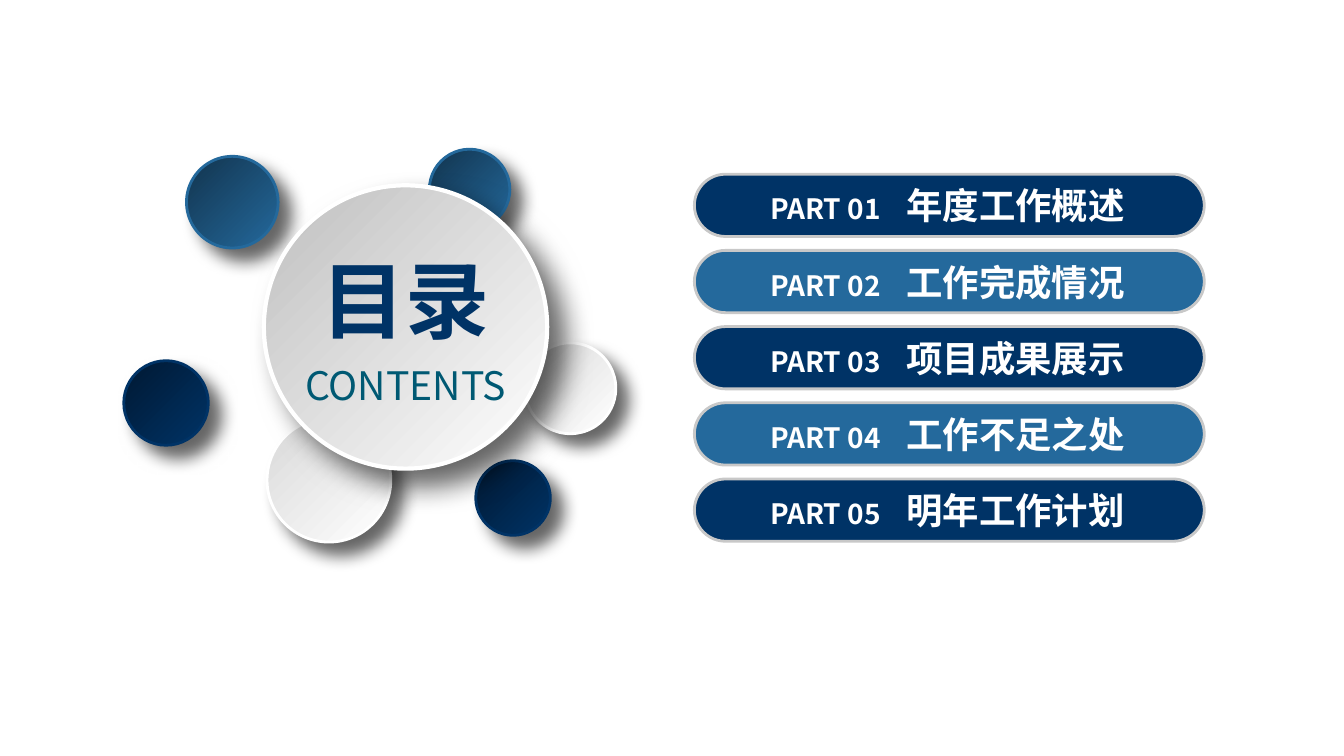
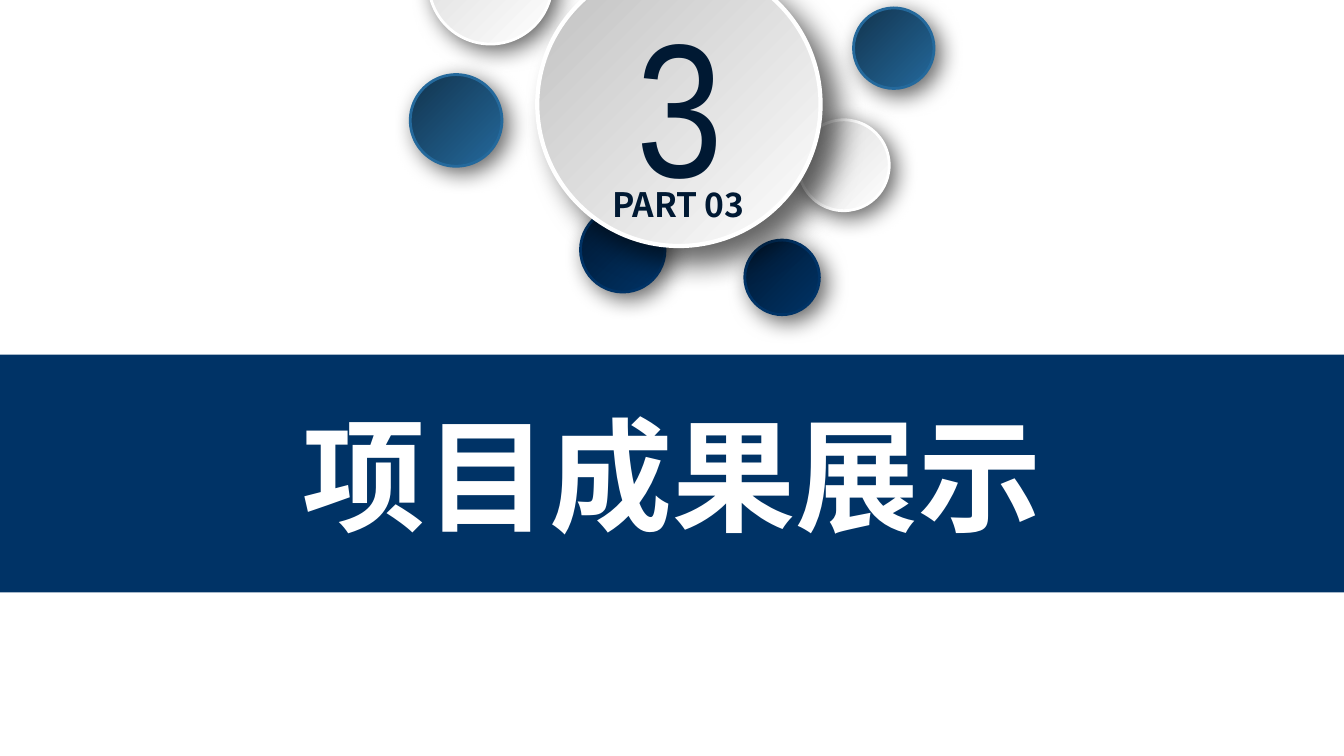
from lxml import etree
from pptx import Presentation
from pptx.dml.color import RGBColor
from pptx.enum.shapes import MSO_SHAPE
from pptx.enum.text import MSO_ANCHOR, PP_ALIGN
from pptx.oxml.ns import qn
from pptx.util import Cm, Pt

OVAL = MSO_SHAPE.OVAL
RECTANGLE = MSO_SHAPE.RECTANGLE
PILL = MSO_SHAPE.ROUNDED_RECTANGLE
MIDDLE = MSO_ANCHOR.MIDDLE
CENTER = PP_ALIGN.CENTER
LEFT = PP_ALIGN.LEFT

COLORS = {
    "navy": "003366",
    "night": "001933",
    "blue": "24699C",
    "deep_blue": "12344E",
    "teal": "005973",
    "white": "FFFFFF",
    "light_gray": "D9D9D9",
    "gray": "BFBFBF",
    "rim": "C8C8C8",
    "shadow": "000000",
}
SANS = "Noto Sans CJK SC"
NARROW = "Arial Narrow"
WIDTH, HEIGHT = 33.87, 19.05

NAVY_TONE = ("navy", "night")
BLUE_TONE = ("blue", "deep_blue")
PALE_TONE = ("white", "light_gray")
HUB_TONE = ("white", "gray")
HUB_SIZE = 7.14
HUB_SHADOW = (20, 16)
SATELLITES = [
    (NAVY_TONE, 1.88),
    (BLUE_TONE, 2.31),
    (NAVY_TONE, 2.13),
    (BLUE_TONE, 2.03),
    (PALE_TONE, 3.12),
    (PALE_TONE, 2.29),
]
CHAPTERS = ["年度工作概述", "工作完成情况", "项目成果展示", "工作不足之处", "明年工作计划"]


def rgb(color):
    return RGBColor.from_string(COLORS[color])


class Deck:
    def __init__(self):
        self.presentation = Presentation()
        self.presentation.slide_width = Cm(WIDTH)
        self.presentation.slide_height = Cm(HEIGHT)
        self.slide = None

    def new_slide(self):
        layout = self.presentation.slide_layouts[6]
        self.slide = self.presentation.slides.add_slide(layout)

    def shape(self, preset, left, top, width, height, rim=None, rim_width=2):
        shape = self.slide.shapes.add_shape(
            preset, Cm(left), Cm(top), Cm(width), Cm(height))
        shape.shadow.inherit = False
        if rim:
            shape.line.color.rgb = rgb(rim)
            shape.line.width = Pt(rim_width)
        else:
            shape.line.fill.background()
        return shape

    def panel(self, preset, left, top, width, height, color, rim=None):
        panel = self.shape(preset, left, top, width, height, rim)
        panel.fill.solid()
        panel.fill.fore_color.rgb = rgb(color)
        return panel

    def circle(self, left, top, size, tone, shadow, rim_width=2):
        circle = self.shape(OVAL, left, top, size, size, tone[0], rim_width)
        circle.fill.gradient()
        circle.fill.gradient_angle = 135
        for stop, color, position in zip(circle.fill.gradient_stops, tone, (0, 1)):
            stop.color.rgb = rgb(color)
            stop.position = position
        self.drop_shadow(circle, *shadow)

    def drop_shadow(self, shape, blur, distance):
        effects = shape.element.spPr.find(qn("a:effectLst"))
        outer = etree.SubElement(
            effects, qn("a:outerShdw"), blurRad=str(Pt(blur)),
            dist=str(Pt(distance)), dir="2700000", algn="tl", rotWithShape="0")
        color = etree.SubElement(outer, qn("a:srgbClr"), val=COLORS["shadow"])
        etree.SubElement(color, qn("a:alpha"), val="60000")

    def satellites(self, places, shadow):
        for (tone, size), (left, top) in zip(SATELLITES, places):
            self.circle(left, top, size, tone, shadow)

    def hub(self, left, top):
        self.circle(left, top, HUB_SIZE, HUB_TONE, HUB_SHADOW, 3)

    def style_run(self, run, size, color, bold=False, face=SANS):
        run.font.size = Pt(size)
        run.font.bold = bold
        run.font.color.rgb = rgb(color)
        run.font.name = face
        etree.SubElement(run.font._element, qn("a:ea"), typeface=face)

    def text_box(self, left, top, width, height, align=CENTER):
        box = self.slide.shapes.add_textbox(
            Cm(left), Cm(top), Cm(width), Cm(height))
        frame = box.text_frame
        frame.word_wrap = True
        frame.vertical_anchor = MIDDLE
        frame.paragraphs[0].alignment = align
        return frame

    def label(self, text, left, top, width, height, size, color,
              bold=False, face=SANS):
        paragraph = self.text_box(left, top, width, height).paragraphs[0]
        paragraph.text = text
        self.style_run(paragraph.runs[0], size, color, bold, face)

    def chapter(self, number, title, top):
        left, width, height = 17.5, 12.85, 1.57
        color = "navy" if number % 2 else "blue"
        pill = self.panel(PILL, left, top, width, height, color, "rim")
        pill.adjustments[0] = 0.5
        frame = self.text_box(left + 0.76, top + 0.1, 11.38, 1.37, LEFT)
        frame.margin_left = Cm(1.15)
        paragraph = frame.paragraphs[0]
        tabs = etree.SubElement(paragraph._p.get_or_add_pPr(), qn("a:tabLst"))
        etree.SubElement(tabs, qn("a:tab"), pos=str(Cm(3.43)), algn="l")
        for text, size in ((f"PART {number:02}\t", 20), (title, 26)):
            run = paragraph.add_run()
            run.text = text
            self.style_run(run, size, "white", True)


def contents_slide(deck):
    deck.new_slide()
    for index, title in enumerate(CHAPTERS):
        deck.chapter(index + 1, title, 4.39 + index * 1.92)
    deck.satellites([(11.99, 11.61), (4.7, 3.94), (3.12, 9.09),
                     (10.82, 3.76), (6.73, 10.54), (13.23, 8.64)], (12, 12))
    deck.hub(6.65, 4.67)
    deck.label("目录", 7.82, 6.12, 4.78, 2.82, 60, "navy", True)
    deck.label("CONTENTS", 6.96, 8.97, 6.53, 1.45, 28, "teal")


def chapter_slide(deck, number):
    deck.new_slide()
    deck.satellites([(18.77, 6.05), (10.34, 1.88), (14.63, 5.23),
                     (21.51, 0.2), (10.8, -2.01), (20.12, 3.02)], (16, 6))
    deck.panel(RECTANGLE, 0, 8.94, WIDTH, 5.99, "navy")
    deck.label(CHAPTERS[number - 1], 3.96, 9.93, 25.96, 4.01, 88, "white", True)
    deck.hub(13.54, -0.94)
    deck.label(str(number), 15.77, -0.48, 2.74, 6.07, 136, "night", face=NARROW)
    deck.label(f"PART {number:02}", 14.68, 4.52, 4.83, 1.27, 24, "night", True)


def main():
    deck = Deck()
    contents_slide(deck)
    chapter_slide(deck, 3)
    deck.presentation.save("out.pptx")


if __name__ == "__main__":
    main()
